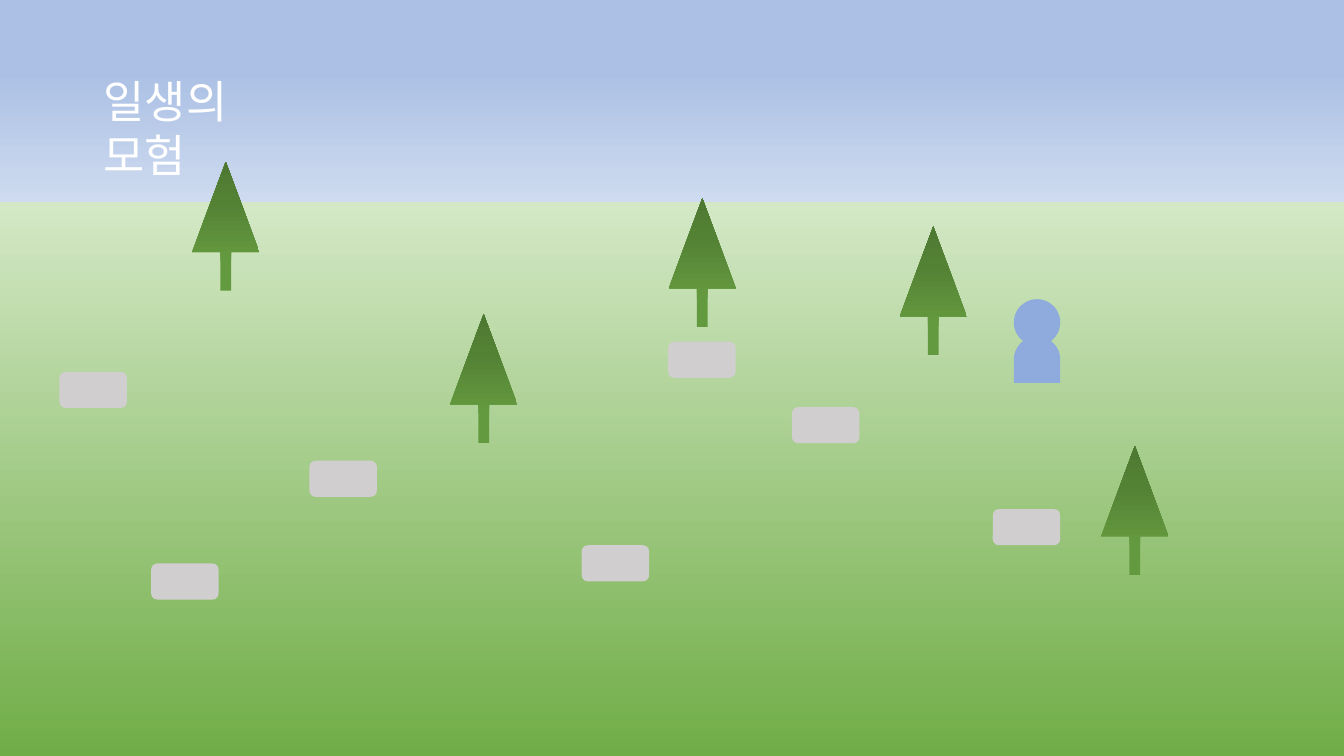
from pptx import Presentation
from pptx.dml.color import RGBColor
from pptx.enum.shapes import MSO_SHAPE
from pptx.enum.text import MSO_ANCHOR, MSO_AUTO_SIZE, PP_ALIGN
from pptx.oxml.ns import qn
from pptx.util import Cm, Pt
from lxml import etree

WHITE = RGBColor(0xFF, 0xFF, 0xFF)
BLUE = RGBColor(0x8F, 0xAA, 0xDC)
GREY = RGBColor(0xD0, 0xCE, 0xCE)
SKY = RGBColor(0xAB, 0xC0, 0xE4)
HAZE = RGBColor(0xC7, 0xD5, 0xED)
PALE = RGBColor(0xF6, 0xF8, 0xFC)
MINT = RGBColor(0xD4, 0xE8, 0xC6)
GRASS = RGBColor(0x70, 0xAD, 0x47)
LEAF = RGBColor(0x64, 0x9A, 0x3F)
PINE = RGBColor(0x54, 0x82, 0x35)
DARK = RGBColor(0x4E, 0x79, 0x32)
FONT = "Noto Sans CJK KR"
WIDE, HIGH = 33.87, 19.05

# Centres of the trees and top left corners of the stones, in cm
TREES = [(28.6, 12.86), (23.52, 7.33), (17.7, 6.62), (12.19, 9.54), (5.69, 5.7)]
STONES = [(16.84, 8.61), (19.96, 10.26), (25.02, 12.83), (14.66, 13.74),
          (7.8, 11.61), (3.81, 14.2), (1.5, 9.37)]


def add_part(shapes, kind, x, y, w, h, color=None):
    part = shapes.add_shape(kind, Cm(x), Cm(y), Cm(w), Cm(h))
    part.shadow.inherit = False
    part.line.fill.background()
    if color is not None:
        part.fill.solid()
        part.fill.fore_color.rgb = color
    return part


def blend(part, stops, angle):
    """Fill with a linear gradient of (percent, colour) stops."""
    part.fill.gradient()
    part.fill.gradient_angle = angle
    group = part._element.spPr.find(qn("a:gradFill")).find(qn("a:gsLst"))
    for old in list(group):
        group.remove(old)
    for percent, color in stops:
        stop = etree.SubElement(group, qn("a:gs"), pos=str(percent * 1000))
        etree.SubElement(stop, qn("a:srgbClr"), val=str(color))


def add_scene(shapes, w, h):
    sky = add_part(shapes, MSO_SHAPE.RECTANGLE, 0, 0, w, 7.77)
    blend(sky, [(0, SKY), (23, SKY), (57, HAZE), (100, PALE)], 270)
    top = 5.08
    field = add_part(shapes, MSO_SHAPE.RECTANGLE, 0, top, w, h - top)
    blend(field, [(0, MINT), (100, GRASS)], 270)


def add_title(slide, x, y, w, h):
    title = slide.shapes.title
    title.left, title.top, title.width, title.height = Cm(x), Cm(y), Cm(w), Cm(h)
    frame = title.text_frame
    frame.word_wrap = True
    frame.auto_size = MSO_AUTO_SIZE.SHAPE_TO_FIT_TEXT
    frame.vertical_anchor = MSO_ANCHOR.TOP
    para = frame.paragraphs[0]
    para.alignment = PP_ALIGN.LEFT
    para.line_spacing = Pt(38.5)
    run = para.add_run()
    run.text = "일생의 모험"
    run.font.size = Pt(32)
    run.font.name = FONT
    run.font.color.rgb = WHITE
    etree.SubElement(run.font._element, qn("a:ea"), typeface=FONT)
    # Bring the title in front of the scene
    slide.shapes._spTree.append(title._element)


def add_person(shapes, x, y, size):
    group = shapes.add_group_shape().shapes
    add_part(group, MSO_SHAPE.OVAL, x, y, size, size, BLUE)
    body = add_part(group, MSO_SHAPE.FLOWCHART_DELAY, x, y + 0.8 * size,
                    size, size, BLUE)
    body.rotation = 270


def add_tree(shapes, x, y, w=3.25, h=1.7):
    tree = add_part(shapes, MSO_SHAPE.RIGHT_ARROW, x - w / 2, y - h / 2, w, h)
    tree.rotation = 270
    tree.adjustments[0] = 0.16
    tree.adjustments[1] = 1.34
    blend(tree, [(0, LEAF), (23, LEAF), (69, PINE), (97, DARK)], 0)


def add_stone(shapes, x, y, w=1.7, h=0.91):
    add_part(shapes, MSO_SHAPE.ROUNDED_RECTANGLE, x, y, w, h, GREY)


def main():
    deck = Presentation()
    deck.slide_width, deck.slide_height = Cm(WIDE), Cm(HIGH)
    slide = deck.slides.add_slide(deck.slide_layouts[5])
    shapes = slide.shapes
    add_scene(shapes, WIDE, HIGH)
    add_title(slide, 2.36, 1.73, 5.84, 1.63)
    add_person(shapes, 25.55, 7.54, 1.17)
    for x, y in TREES:
        add_tree(shapes, x, y)
    for x, y in STONES:
        add_stone(shapes, x, y)
    deck.save("out.pptx")


if __name__ == "__main__":
    main()
